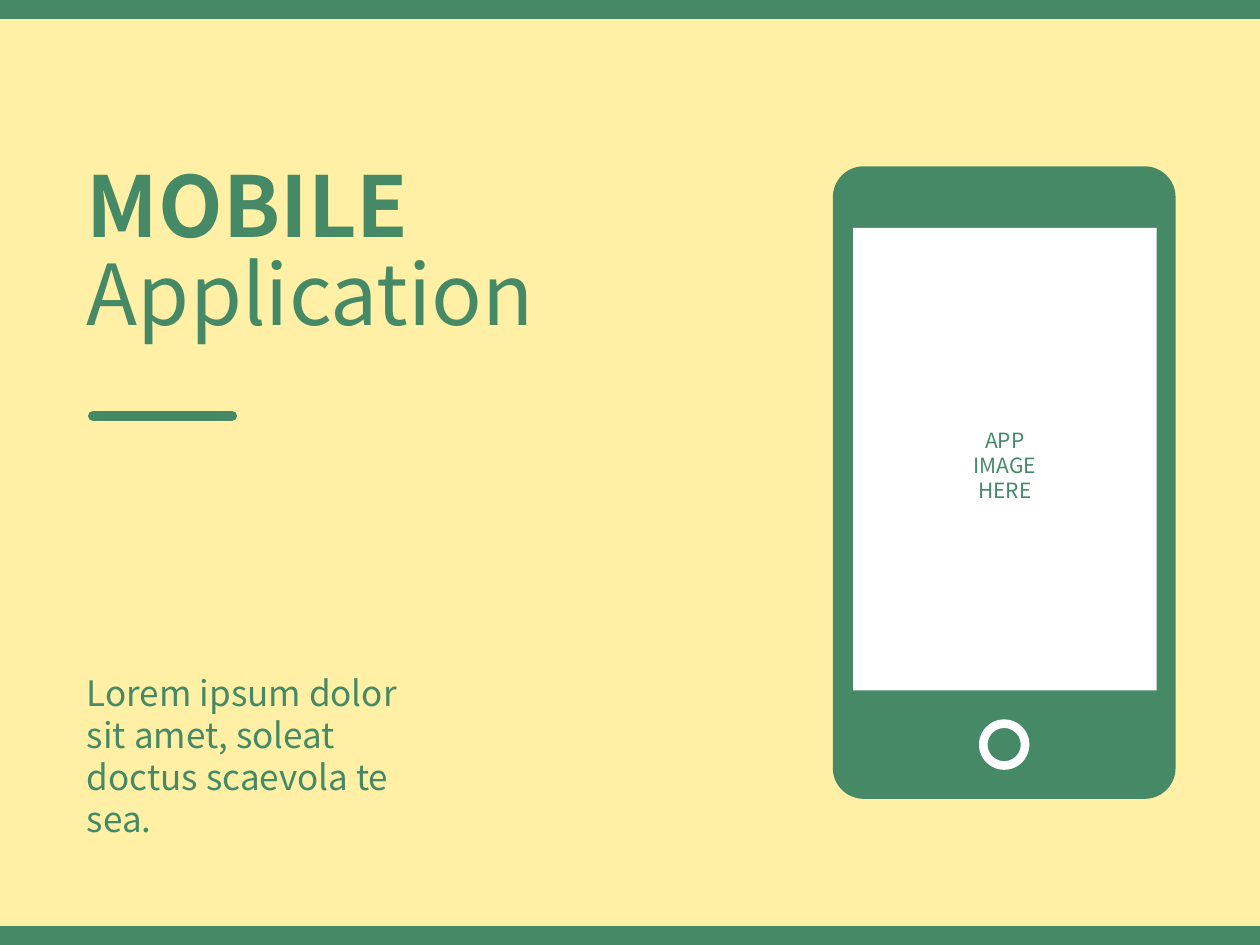
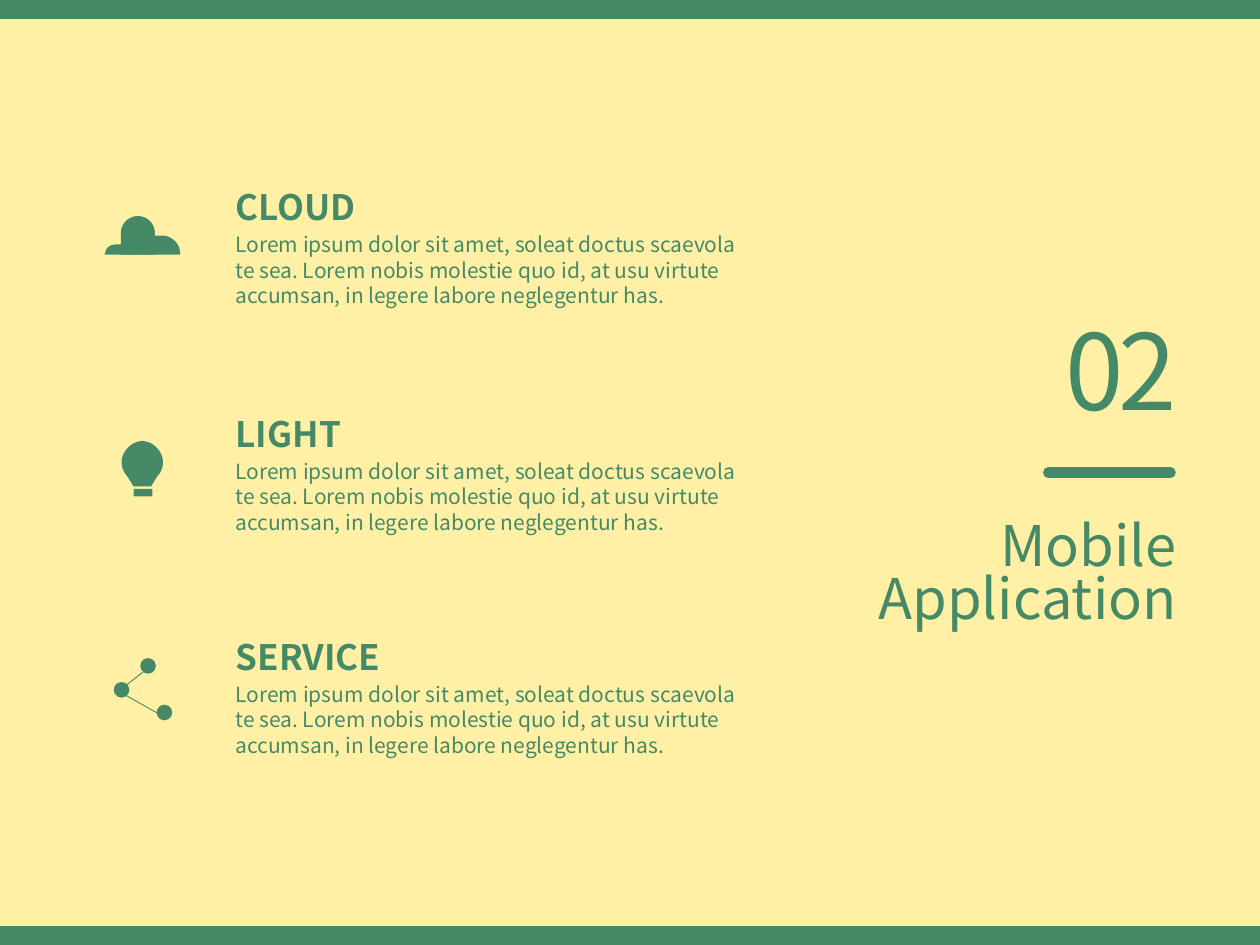
from collections.abc import Callable
from dataclasses import dataclass, field

from lxml.etree import SubElement
from pptx import Presentation
from pptx.dml.color import RGBColor
from pptx.enum.shapes import MSO_CONNECTOR, MSO_SHAPE as Preset
from pptx.enum.text import MSO_ANCHOR, MSO_AUTO_SIZE, PP_ALIGN as Align
from pptx.oxml.ns import qn
from pptx.util import Emu, Inches, Pt

GREEN, CREAM, WHITE = "468966", "FFF0A5", "FFFFFF"
FONT = "Noto Sans CJK KR"
WIDTH, HEIGHT = Inches(10), Inches(7.5)
COLUMNS, ROWS = 40, 30
BAND_ROWS = 0.6
CURVE_STEPS = 12
TITLE_AND_BODY, TITLE_ONLY = 1, 5

Point = tuple[float, float]
Segment = tuple[float, ...]


@dataclass(frozen=True)
class Area:
    """A rectangle in grid columns and rows."""
    column: float
    row: float
    columns: float
    rows: float

    def lengths(self) -> tuple[Emu, Emu, Emu, Emu]:
        return (across(self.column), down(self.row),
                across(self.columns), down(self.rows))


@dataclass(frozen=True)
class Style:
    size: float
    bold: bool = False
    align: Align = Align.LEFT
    leading: float | None = None
    tracking: float = 0

    def font_values(self) -> dict:
        return {"name": FONT, "size": Pt(self.size), "bold": self.bold}

    def paragraph_values(self) -> dict:
        leading = Pt(self.leading) if self.leading else 1.0
        return {"alignment": self.align, "line_spacing": leading,
                "space_before": Pt(0), "space_after": Pt(0)}


@dataclass(frozen=True)
class Outline:
    """A start point, then lines (x, y) and curves (x1, y1, x2, y2, x, y)."""
    start: Point
    segments: list[Segment] = field(default_factory=list)


@dataclass(frozen=True)
class Feature:
    heading: str
    row: float
    draw_icon: Callable


COVER_BOLD = Style(48, bold=True, leading=50)
COVER_LIGHT = Style(48, leading=50)
INTRO = Style(20)
CAPTION = Style(12, align=Align.CENTER)
NUMBER = Style(60, align=Align.RIGHT, leading=50, tracking=-3)
SECTION = Style(32, align=Align.RIGHT, leading=30)
FEATURE_HEADING = Style(20, bold=True)
FEATURE_TEXT = Style(12)

DESCRIPTION = ("Lorem ipsum dolor sit amet, soleat doctus scaevola te sea. "
               "Lorem nobis molestie quo id, at usu virtute accumsan, "
               "in legere labore neglegentur has.")

CLOUD_LOBES = [
    Outline((3.68, 7.76), [
        (4.04, 7.76), (4.16, 7.76, 4.28, 7.84, 4.32, 7.96), (4.36, 8.08),
        (3.32, 8.08), (3.36, 7.96), (3.4, 7.84, 3.52, 7.76, 3.68, 7.76)]),
    Outline((3.84, 7.4), [
        (3.84, 7.1, 4.08, 6.86, 4.38, 6.86),
        (4.68, 6.86, 4.92, 7.1, 4.92, 7.4), (4.92, 8.08), (3.84, 8.08)]),
    Outline((4.96, 7.48), [
        (5.16, 7.48), (5.44, 7.48, 5.72, 7.72, 5.72, 8.04), (5.72, 8.08),
        (4.4, 8.08), (4.4, 8.04), (4.4, 7.72, 4.64, 7.48, 4.96, 7.48)]),
]
BULB_GLASS = Outline((4.52, 14), [
    (4.72, 14.02, 4.84, 14.08, 4.96, 14.2),
    (5.22, 14.44, 5.26, 14.84, 5, 15.12), (4.8, 15.44), (4.24, 15.44),
    (4.04, 15.12), (3.78, 14.84, 3.82, 14.44, 4.08, 14.2),
    (4.2, 14.08, 4.32, 14.02, 4.52, 14)])
BULB_BASE = Area(4.24, 15.52, 0.6, 0.24)
NODES = [(4.48, 20.92), (3.64, 21.68), (5, 22.4)]
NODE_SIZE = 0.44
LINKS = [((4.56, 21.32), (4, 21.76)), ((4, 22.08), (5, 22.64))]


def across(columns: float) -> Emu:
    return Emu(round(WIDTH * columns / COLUMNS))


def down(rows: float) -> Emu:
    return Emu(round(HEIGHT * rows / ROWS))


def paint(fill, color: str) -> None:
    fill.solid()
    fill.fore_color.rgb = RGBColor.from_string(color)


def finish(shape, color: str, border: float = 0) -> None:
    """Give a shape a flat fill, without shadow, and an optional border."""
    shape.shadow.inherit = False
    paint(shape.fill, color)
    if border:
        paint(shape.line.fill, color)
        shape.line.width = Pt(border)
    else:
        shape.line.fill.background()


def add_preset(shapes, preset: Preset, area: Area, color: str = GREEN,
               adjust: float | None = None, border: float = 0):
    shape = shapes.add_shape(preset, *area.lengths())
    finish(shape, color, border)
    if adjust is not None:
        shape.adjustments[0] = adjust
    return shape


def add_line(shapes, start: Point, end: Point, width: float,
             cap: str = "flat") -> None:
    line = shapes.add_connector(MSO_CONNECTOR.STRAIGHT,
                                across(start[0]), down(start[1]),
                                across(end[0]), down(end[1]))
    paint(line.line.fill, GREEN)
    line.line.width = Pt(width)
    properties = line.element.spPr
    properties.find(qn("a:ln")).set("cap", cap)
    SubElement(properties, qn("a:effectLst"))


def add_divider(shapes, column: float, row: float, columns: float) -> None:
    add_line(shapes, (column, row), (column + columns, row), 6, cap="rnd")


def curve_points(start: Point, curve: Segment) -> list[Point]:
    """Sample a cubic curve, leaving out its start."""
    points = [start, curve[:2], curve[2:4], curve[4:]]
    sampled = []
    for step in range(1, CURVE_STEPS + 1):
        t = step / CURVE_STEPS
        u = 1 - t
        weights = (u ** 3, 3 * u * u * t, 3 * u * t * t, t ** 3)
        sampled.append(tuple(sum(w * p[axis] for w, p in zip(weights, points))
                             for axis in (0, 1)))
    return sampled


def add_outline(shapes, outline: Outline) -> None:
    points = [outline.start]
    for segment in outline.segments:
        points += [segment] if len(segment) == 2 else curve_points(points[-1], segment)
    corners = [(across(x), down(y)) for x, y in points]
    builder = shapes.build_freeform(*corners[0], scale=1.0)
    builder.add_line_segments(corners[1:], close=True)
    finish(builder.convert_to_shape(), GREEN)


def write(box, area: Area, lines: list[str], style: Style) -> None:
    """Place a text box or placeholder and fill it with styled paragraphs."""
    box.left, box.top, box.width, box.height = area.lengths()
    frame = box.text_frame
    frame_values = {"word_wrap": True, "vertical_anchor": MSO_ANCHOR.TOP,
                    "auto_size": MSO_AUTO_SIZE.SHAPE_TO_FIT_TEXT,
                    "margin_left": 0, "margin_top": 0,
                    "margin_right": 0, "margin_bottom": 0}
    for name, value in frame_values.items():
        setattr(frame, name, value)
    frame.text = "\n".join(lines)
    for paragraph in frame.paragraphs:
        for name, value in style.paragraph_values().items():
            setattr(paragraph, name, value)
        if box.is_placeholder:
            properties = paragraph._p.get_or_add_pPr()
            properties.set("marL", "0")
            properties.set("indent", "0")
            SubElement(properties, qn("a:buNone"))
        for run in paragraph.runs:
            for name, value in style.font_values().items():
                setattr(run.font, name, value)
            paint(run.font.fill, GREEN)
            if style.tracking:
                run.font._element.set("spc", str(round(style.tracking * 100)))


def add_text(shapes, area: Area, lines: list[str], style: Style) -> None:
    write(shapes.add_textbox(*area.lengths()), area, lines, style)


def set_up_master(deck, slide) -> None:
    """Put the background and both bands on the slide master."""
    master = deck.slide_master
    paint(master.background.fill, CREAM)
    for index, row in enumerate((0, ROWS - BAND_ROWS)):
        band = add_preset(slide.shapes, Preset.RECTANGLE,
                          Area(0, row, COLUMNS, BAND_ROWS)).element
        band.nvSpPr.cNvPr.id = 20 + index
        master.shapes.element.insert(2 + index, band)


def draw_phone(shapes) -> None:
    phone = shapes.add_group_shape().shapes
    add_preset(phone, Preset.ROUNDED_RECTANGLE,
               Area(26.44, 5.28, 10.88, 20.08), adjust=0.09)
    add_preset(phone, Preset.DONUT, Area(31.08, 22.84, 1.6, 1.6), WHITE, 0.17)
    add_preset(phone, Preset.RECTANGLE, Area(27.08, 7.24, 9.64, 14.68), WHITE)
    add_text(phone, Area(27.08, 13.56, 9.64, 2.16),
             ["APP", "IMAGE", "HERE"], CAPTION)


def draw_cloud(icon) -> None:
    for lobe in CLOUD_LOBES:
        add_outline(icon, lobe)


def draw_bulb(icon) -> None:
    add_outline(icon, BULB_GLASS)
    add_preset(icon, Preset.ROUNDED_RECTANGLE, BULB_BASE)


def draw_network(icon) -> None:
    for column, row in NODES:
        add_preset(icon, Preset.OVAL, Area(column, row, NODE_SIZE, NODE_SIZE),
                   border=1)
    for start, end in LINKS:
        add_line(icon, start, end, 0.5)


FEATURES = [Feature("CLOUD", 5.88, draw_cloud),
            Feature("LIGHT", 13.08, draw_bulb),
            Feature("SERVICE", 20.16, draw_network)]


def build_cover(slide) -> None:
    shapes = slide.shapes
    write(shapes.title, Area(2.76, 5.28, 16.68, 2.92), ["MOBILE"], COVER_BOLD)
    add_text(shapes, Area(2.76, 8.08, 16.68, 2.92), ["Application"], COVER_LIGHT)
    add_divider(shapes, 2.96, 13.2, 4.4)
    write(slide.placeholders[1], Area(2.76, 21.32, 9.92, 4.04),
          ["Lorem ipsum dolor sit amet, soleat doctus scaevola te sea."], INTRO)
    draw_phone(shapes)


def build_features(slide) -> None:
    shapes = slide.shapes
    add_text(shapes, Area(30.6, 10.92, 6.76, 3.12), ["02"], NUMBER)
    write(shapes.title, Area(25.52, 16.68, 11.84, 3.36),
          ["Mobile", "Application"], SECTION)
    add_divider(shapes, 33.28, 15, 3.88)
    for feature in FEATURES:
        feature.draw_icon(shapes.add_group_shape().shapes)
        add_text(shapes, Area(7.48, feature.row, 16.04, 1.36),
                 [feature.heading], FEATURE_HEADING)
        add_text(shapes, Area(7.48, feature.row + 1.48, 16, 2.44),
                 [DESCRIPTION], FEATURE_TEXT)


def main() -> None:
    deck = Presentation()
    deck.slide_width, deck.slide_height = WIDTH, HEIGHT
    cover = deck.slides.add_slide(deck.slide_layouts[TITLE_AND_BODY])
    set_up_master(deck, cover)
    build_cover(cover)
    build_features(deck.slides.add_slide(deck.slide_layouts[TITLE_ONLY]))
    deck.save("out.pptx")


if __name__ == "__main__":
    main()
